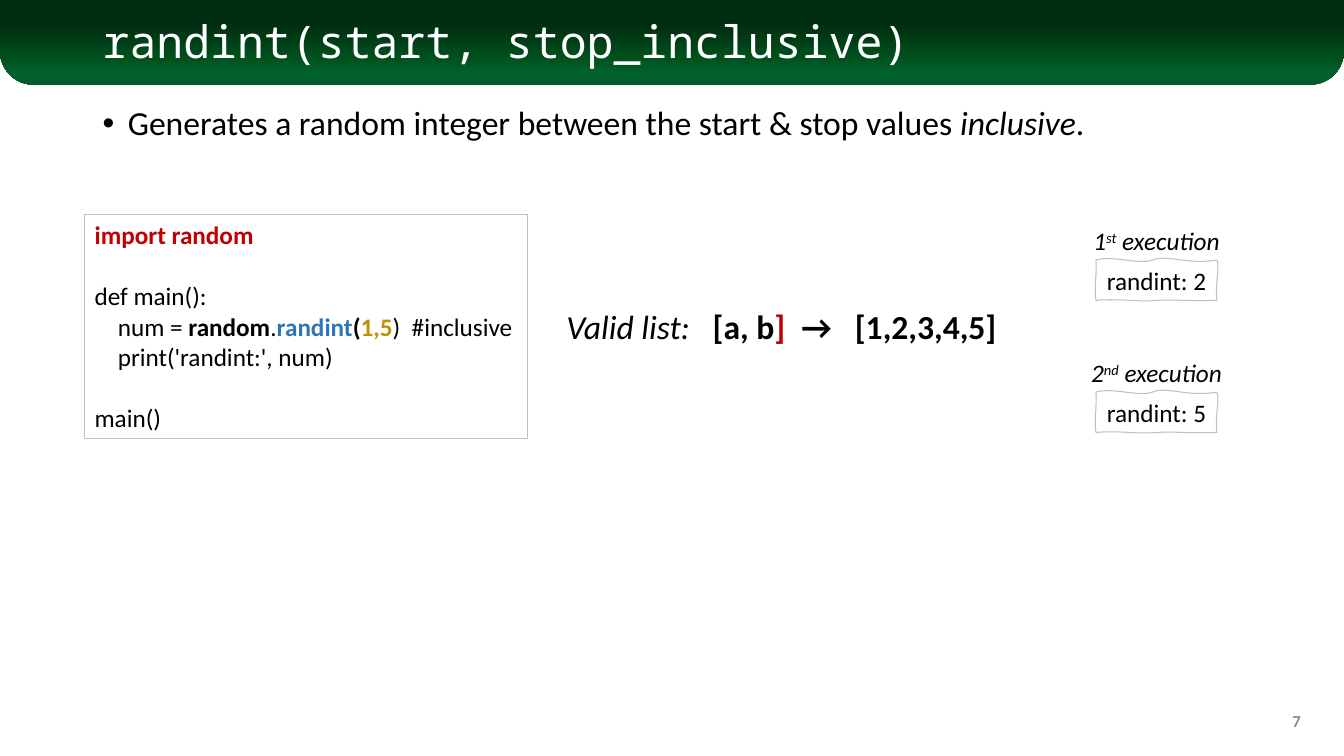
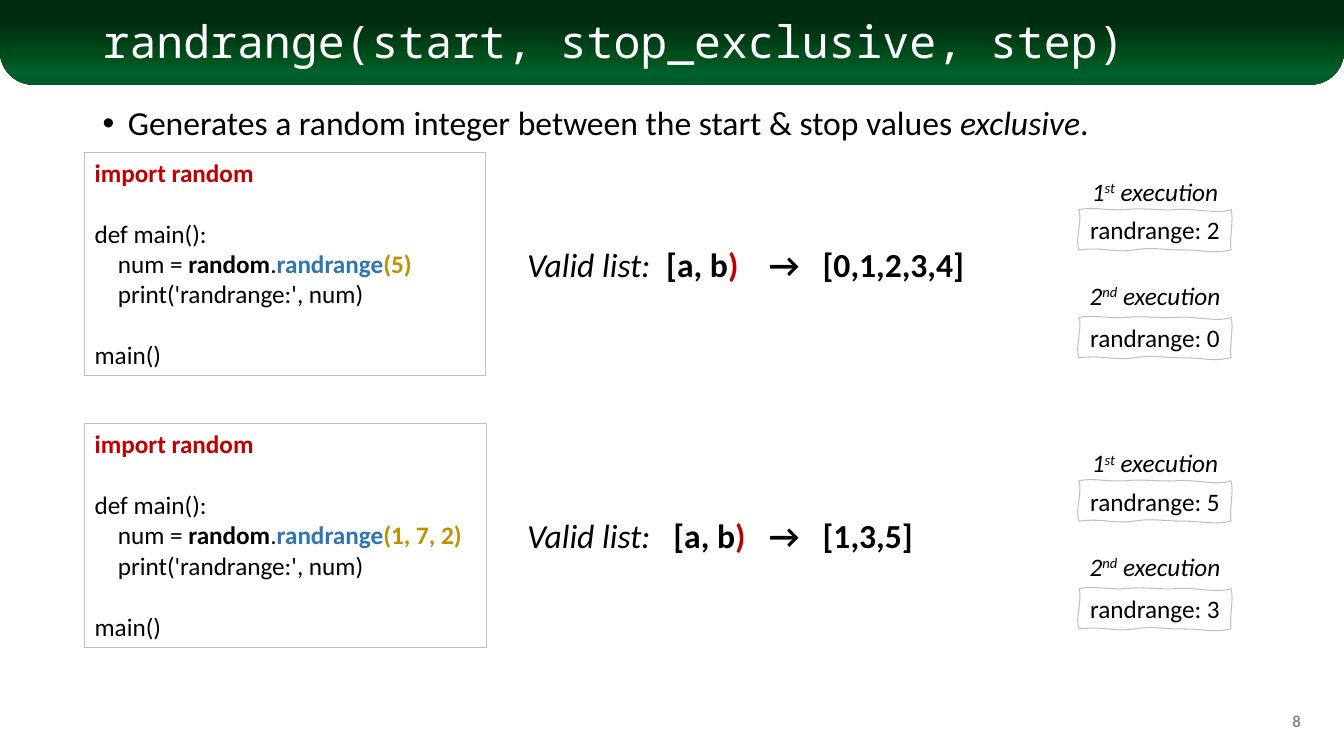
import copy

import lxml.etree
import pptx
import pptx.dml.color
import pptx.enum.shapes
import pptx.enum.text
import pptx.oxml.ns
import pptx.util

Inches = pptx.util.Inches
Pt = pptx.util.Pt
RGBColor = pptx.dml.color.RGBColor
Align = pptx.enum.text.PP_ALIGN
Anchor = pptx.enum.text.MSO_ANCHOR
qn = pptx.oxml.ns.qn

BLACK = RGBColor(0x00, 0x00, 0x00)
WHITE = RGBColor(0xFF, 0xFF, 0xFF)
RED = RGBColor(0xC0, 0x00, 0x00)
BLUE = RGBColor(0x2E, 0x75, 0xB6)
GOLD = RGBColor(0xBF, 0x90, 0x00)
BORDER = RGBColor(0xBF, 0xBF, 0xBF)
PAGE_GRAY = RGBColor(0x8C, 0x8C, 0x8C)
BAND_STOPS = [
    (0.28, RGBColor(0x00, 0x2D, 0x10)),
    (0.68, RGBColor(0x00, 0x50, 0x1D)),
    (0.85, RGBColor(0x00, 0x60, 0x2B)),
    (1.0, RGBColor(0x00, 0x5C, 0x2B)),
]

BODY_FONT = "Calibri"
TITLE_FONT = "Noto Sans Mono"
FIRST_PAGE_NUMBER = 7
CODE_LEFT, CODE_HEIGHT = 0.84, 2.22
CODE_INDENT, BLANK_LINE = 0.23, 22
VALID_DROP, VALID_WIDTH = 0.86, 2.4
LIST_TAB = 0.53
LABEL_WIDTH, LABEL_HEIGHT = 1.59, 0.4
ORDINALS = [("1", "st"), ("2", "nd")]

RANDINT_OUTLINE = [
    ((0.16, -0.05), (0.43, 0.05), (0.56, 0)),
    ((0.7, -0.06), (0.9, 0.05), (1.2, 0)),
    ((1.23, 0.08), (1.18, 0.22), (1.2, 0.4)),
    ((0.91, 0.41), (0.79, 0.39), (0.61, 0.4)),
    ((0.43, 0.42), (0.24, 0.38), (0, 0.4)),
    ((-0.02, 0.27), (0.01, 0.17), (0, 0)),
]
RANDRANGE_OUTLINE = [
    ((0.14, -0.03), (0.27, 0.01), (0.46, 0)),
    ((0.64, -0.02), (0.8, 0.01), (0.96, 0)),
    ((1.12, -0.02), (1.37, 0.05), (1.51, 0)),
    ((1.54, 0.1), (1.49, 0.29), (1.51, 0.4)),
    ((1.31, 0.44), (1.25, 0.4), (1.03, 0.4)),
    ((0.82, 0.4), (0.74, 0.37), (0.55, 0.4)),
    ((0.35, 0.43), (0.25, 0.37), (0, 0.4)),
    ((-0.04, 0.3), (0.04, 0.09), (0, 0)),
]

TOPICS = [
    {
        "function": "randint",
        "title": "randint(start, stop_inclusive)",
        "kind": "inclusive",
        "closing": "]",
        "outline": RANDINT_OUTLINE,
        "output_left": 10.87,
        "output_width": 1.2,
        "label_drops": [0.06, 1.37],
        "output_drops": [0.45, 1.76],
        "examples": [
            {
                "top": 2.13,
                "code_width": 4.39,
                "call": [
                    ("(", {"bold": True}),
                    ("1,5", {"bold": True, "color": GOLD}),
                    (")  #inclusive", {}),
                ],
                "valid_left": 5.52,
                "interval_tab": 1.45,
                "list_left": 7.85,
                "values": "[1,2,3,4,5]",
                "outputs": [2, 5],
            },
        ],
    },
    {
        "function": "randrange",
        "title": "randrange(start, stop_exclusive, step)",
        "kind": "exclusive",
        "closing": ")",
        "outline": RANDRANGE_OUTLINE,
        "output_left": 10.7,
        "output_width": 1.51,
        "label_drops": [0.19, 1.22],
        "output_drops": [0.57, 1.64],
        "examples": [
            {
                "top": 1.51,
                "code_width": 3.98,
                "call": [("(5)", {"bold": True, "color": GOLD})],
                "valid_left": 5.13,
                "interval_tab": 1.38,
                "list_left": 7.53,
                "values": "[0,1,2,3,4]",
                "outputs": [2, 0],
            },
            {
                "top": 4.2,
                "code_width": 3.99,
                "call": [("(1, 7, 2)", {"bold": True, "color": GOLD})],
                "valid_left": 5.13,
                "interval_tab": 1.45,
                "list_left": 7.53,
                "values": "[1,3,5]",
                "outputs": [5, 3],
            },
        ],
    },
]


def write_spans(para, spans, size, font=BODY_FONT):
    for text, style in spans:
        span = para.add_run()
        span.text = text
        span.font.name = font
        span.font.size = Pt(size)
        span.font.bold = style.get("bold", False)
        span.font.italic = style.get("italic", False)
        span.font.color.rgb = style.get("color", BLACK)
        if style.get("raised"):
            span.font._element.set("baseline", "30000")


def add_text(page, left, top, width, height, spans, size, font=BODY_FONT,
             align=Align.LEFT, anchor=Anchor.TOP):
    box = page.shapes.add_textbox(
        Inches(left), Inches(top), Inches(width), Inches(height))
    box.text_frame.word_wrap = align != Align.CENTER
    box.text_frame.vertical_anchor = anchor
    para = box.text_frame.paragraphs[0]
    para.alignment = align
    write_spans(para, spans, size, font)
    return box


def add_tab_stop(para, position):
    stops = lxml.etree.SubElement(para._p.get_or_add_pPr(), qn("a:tabLst"))
    lxml.etree.SubElement(
        stops, qn("a:tab"), pos=str(Inches(position)), algn="l")


def set_border(shape):
    shape.line.color.rgb = BORDER
    shape.line.width = Pt(0.75)


def add_band(page, width):
    band = page.shapes.add_shape(
        pptx.enum.shapes.MSO_SHAPE.ROUND_2_SAME_RECTANGLE,
        0, 0, width, Inches(0.84))
    band.adjustments[0] = 0
    band.adjustments[1] = 0.4
    band.shadow.inherit = False
    band.line.fill.background()
    band.fill.gradient()
    band.fill.gradient_angle = 270
    stop_list = band._element.spPr.find(".//" + qn("a:gsLst"))
    while len(stop_list) < len(BAND_STOPS):
        stop_list.append(copy.deepcopy(stop_list[0]))
    for stop, (position, color) in zip(band.fill.gradient_stops, BAND_STOPS):
        stop.position = position
        stop.color.rgb = color


def add_frame(page, width, topic, number):
    add_band(page, width)
    title = add_text(page, 0.92, 0.13, 11.5, 0.61,
                     [(topic["title"], {"color": WHITE})],
                     32, TITLE_FONT, anchor=Anchor.MIDDLE)
    title.text_frame.paragraphs[0].line_spacing = 0.9
    summary = add_text(page, 0.92, 1.01, 11.5, 5.67, [
        ("Generates a random integer between the start & stop values ", {}),
        (topic["kind"], {"italic": True}),
        (".", {}),
    ], 24)
    para = summary.text_frame.paragraphs[0]
    para.line_spacing = 0.9
    properties = para._p.get_or_add_pPr()
    properties.set("marL", str(Inches(0.25)))
    properties.set("indent", str(Inches(-0.25)))
    lxml.etree.SubElement(properties, qn("a:buFont"), typeface="Arial")
    lxml.etree.SubElement(properties, qn("a:buChar"), char="•")
    add_text(page, 10, 6.95, 3, 0.4,
             [(str(number), {"bold": True, "color": PAGE_GRAY})],
             12, align=Align.RIGHT, anchor=Anchor.MIDDLE)


def add_code(page, function, example):
    lines = [
        (0, 0, [("import random", {"bold": True, "color": RED})]),
        (0, BLANK_LINE, [("def main():", {})]),
        (CODE_INDENT, 0, [
            ("num = ", {}),
            ("random", {"bold": True}),
            (".", {}),
            (function, {"bold": True, "color": BLUE}),
        ] + example["call"]),
        (CODE_INDENT, 0, [(f"print('{function}:', num)", {})]),
        (0, BLANK_LINE, [("main()", {})]),
    ]
    box = add_text(page, CODE_LEFT, example["top"], example["code_width"],
                   CODE_HEIGHT, lines[0][2], 18)
    set_border(box)
    for indent, gap, spans in lines[1:]:
        para = box.text_frame.add_paragraph()
        para.space_before = Pt(gap)
        para._p.get_or_add_pPr().set("marL", str(Inches(indent)))
        write_spans(para, spans, 18)


def add_valid_list(page, closing, example):
    top = example["top"] + VALID_DROP
    interval = add_text(page, example["valid_left"], top, VALID_WIDTH, 0.5, [
        ("Valid list:\t", {"italic": True}),
        ("[a, b", {"bold": True}),
        (closing, {"bold": True, "color": RED}),
    ], 24)
    add_tab_stop(interval.text_frame.paragraphs[0], example["interval_tab"])
    values = add_text(page, example["list_left"], top, 2.18, 0.5,
                      [("→\t" + example["values"], {"bold": True})], 24)
    add_tab_stop(values.text_frame.paragraphs[0], LIST_TAB)


def bend_sides(shape, curves):
    sides = list(shape._element.spPr.iter(qn("a:lnTo")))
    for side, curve in zip(sides, curves):
        bend = lxml.etree.Element(qn("a:cubicBezTo"))
        for x, y in curve:
            lxml.etree.SubElement(
                bend, qn("a:pt"), x=str(Inches(x)), y=str(Inches(y)))
        side.getparent().replace(side, bend)


def add_output(page, topic, top, text):
    builder = page.shapes.build_freeform(0, 0)
    corners = [(Inches(x), Inches(y)) for _, _, (x, y) in topic["outline"]]
    builder.add_line_segments(corners, close=True)
    note = builder.convert_to_shape(Inches(topic["output_left"]), Inches(top))
    bend_sides(note, topic["outline"])
    note.shadow.inherit = False
    note.fill.background()
    set_border(note)
    note.text_frame.word_wrap = False
    note.text_frame.vertical_anchor = Anchor.MIDDLE
    para = note.text_frame.paragraphs[0]
    para.alignment = Align.CENTER
    write_spans(para, [(text, {})], 18)


def add_executions(page, topic, example):
    label_left = topic["output_left"] + (topic["output_width"] - LABEL_WIDTH) / 2
    for (digit, suffix), label_drop, output_drop, result in zip(
            ORDINALS, topic["label_drops"], topic["output_drops"],
            example["outputs"]):
        add_output(page, topic, example["top"] + output_drop,
                   f"{topic['function']}: {result}")
        add_text(page, label_left, example["top"] + label_drop,
                 LABEL_WIDTH, LABEL_HEIGHT, [
                     (digit, {"italic": True}),
                     (suffix, {"italic": True, "raised": True}),
                     (" execution", {"italic": True}),
                 ], 18, align=Align.CENTER)


def main():
    deck = pptx.Presentation()
    deck.slide_width = Inches(13.33)
    deck.slide_height = Inches(7.5)
    for number, topic in enumerate(TOPICS, FIRST_PAGE_NUMBER):
        page = deck.slides.add_slide(deck.slide_layouts[6])
        add_frame(page, deck.slide_width, topic, number)
        for example in topic["examples"]:
            add_code(page, topic["function"], example)
            add_valid_list(page, topic["closing"], example)
            add_executions(page, topic, example)
    deck.save("out.pptx")


if __name__ == "__main__":
    main()
